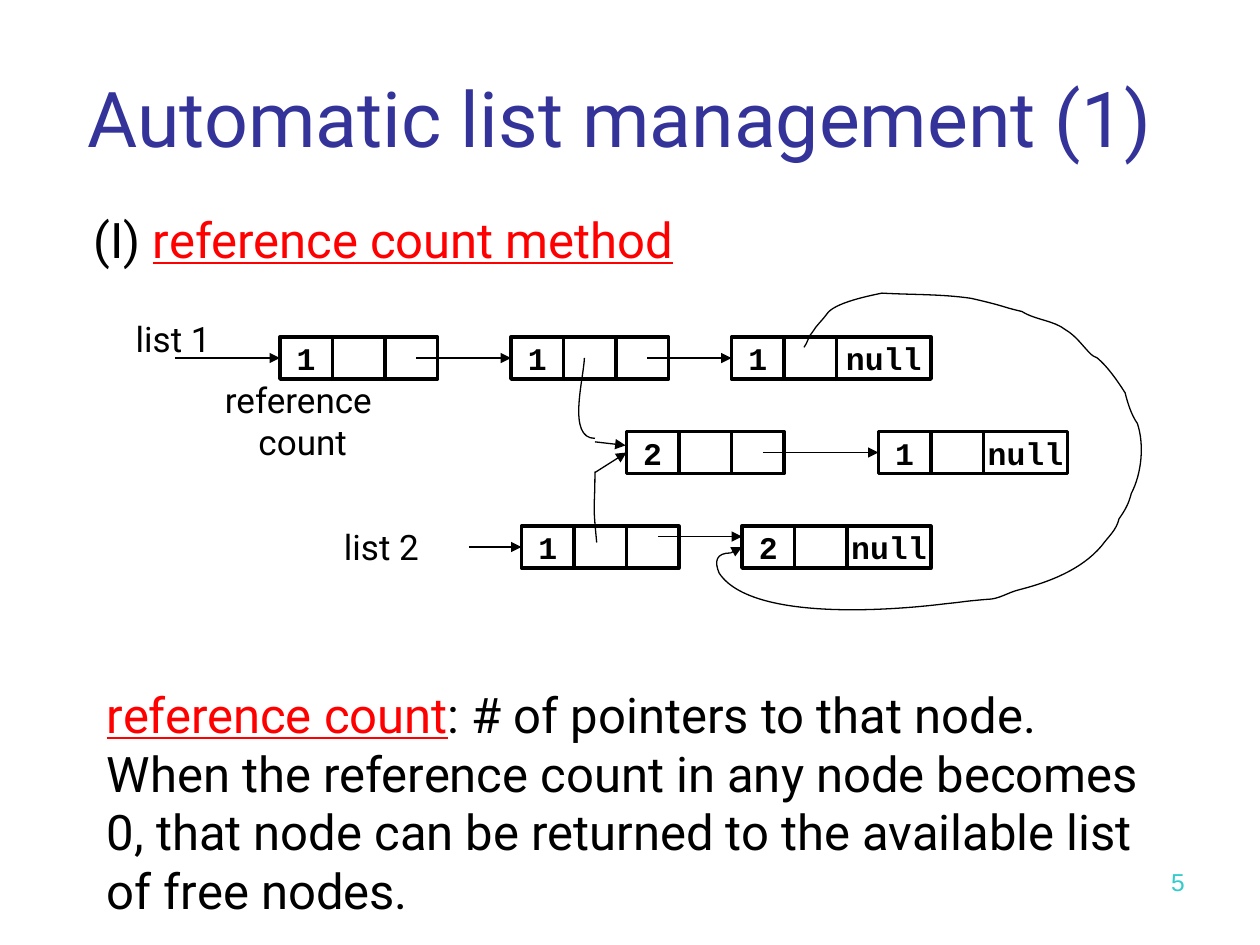
from dataclasses import dataclass
from itertools import accumulate, chain

from lxml.etree import SubElement
from pptx import Presentation
from pptx.dml.color import RGBColor
from pptx.enum.shapes import MSO_CONNECTOR as Link, MSO_SHAPE as Preset
from pptx.enum.text import MSO_ANCHOR as Anchor, PP_ALIGN as Align
from pptx.oxml.ns import qn
from pptx.slide import Slide
from pptx.util import Pt

COLORS = {"ink": "000000", "title": "333399", "accent": "FF0000", "number": "33CCCC"}
CELL, HEIGHT = 30, 24
TOP, MIDDLE, BOTTOM = (192.6 + 54 * row for row in range(3))


def rgb(name):
    return RGBColor.from_string(COLORS[name])


@dataclass
class ListDiagram:
    """Draws text, list nodes and pointers on a slide in one style."""

    slide: Slide
    font: str = "Roboto"
    code_font: str = "Courier New"
    border: float = 2
    stroke: float = 0.75

    def text(self, box, paragraphs, size, color="ink", align=Align.LEFT,
             anchor=Anchor.TOP, wrap=False, font=None):
        frame = self.slide.shapes.add_textbox(*map(Pt, box)).text_frame
        frame.word_wrap, frame.vertical_anchor = wrap, anchor
        for index, runs in enumerate(paragraphs):
            paragraph = frame.add_paragraph() if index else frame.paragraphs[0]
            paragraph.alignment = align
            paragraph.font.size, paragraph.font.name = Pt(size), font or self.font
            paragraph.font.color.rgb = rgb(color)
            for words, marked in runs:
                run = paragraph.add_run()
                run.text = words
                if marked:
                    run.font.underline = True
                    run.font.color.rgb = rgb("accent")

    def node(self, left, top, count, null_width=0):
        widths = [CELL, CELL, null_width or CELL]
        lefts = accumulate(widths[:-1], initial=left)
        labels = (count, "", "null" if null_width else "")
        return [self.cell(x, top, width, label)
                for x, width, label in zip(lefts, widths, labels)][0]

    def cell(self, left, top, width, label):
        cell = self.slide.shapes.add_shape(Preset.RECTANGLE, *map(Pt, (left, top, width, HEIGHT)))
        cell.shadow.inherit = False
        cell.fill.background()
        cell.line.color.rgb, cell.line.width = rgb("ink"), Pt(self.border)
        if label:
            frame = cell.text_frame
            frame.word_wrap, frame.vertical_anchor = False, Anchor.MIDDLE
            paragraph = frame.paragraphs[0]
            paragraph.text, paragraph.alignment = label, Align.CENTER
            font = paragraph.font
            font.name, font.size, font.bold = self.code_font, Pt(18), True
            font.color.rgb = rgb("ink")
        return cell

    def arrow(self, start, end=None, target=None):
        pointer = self.slide.shapes.add_connector(Link.STRAIGHT, *map(Pt, start + (end or start)))
        if target is not None:
            pointer.end_connect(target, 1)
        pointer.line.color.rgb, pointer.line.width = rgb("ink"), Pt(self.stroke)
        SubElement(pointer.line._get_or_add_ln(), qn("a:tailEnd"), type="triangle")
        SubElement(pointer._element.spPr, qn("a:effectLst"))

    def curve(self, start, *segments):
        builder = self.slide.shapes.build_freeform(*map(Pt, start), scale=1.0)
        builder.add_line_segments([tuple(map(Pt, point)) for point in chain(*segments)],
                                  close=False)
        outline = builder.convert_to_shape()
        outline.shadow.inherit = False
        outline.fill.background()
        outline.line.color.rgb, outline.line.width = rgb("ink"), Pt(self.stroke)
        steps = list(outline._element.iter(qn("a:lnTo")))
        for triple in zip(steps[::3], steps[1::3], steps[2::3]):
            bend = SubElement(triple[0].getparent(), qn("a:cubicBezTo"))
            for step in triple:
                bend.append(step[0])
                step.getparent().remove(step)


def main():
    deck = Presentation()
    deck.slide_width, deck.slide_height = Pt(720), Pt(540)
    diagram = ListDiagram(deck.slides.add_slide(deck.slide_layouts[6]))

    diagram.text((36, 21.6, 648, 90), [[("Automatic list management (1) ", False)]], 44,
                 "title", Align.CENTER, Anchor.MIDDLE, wrap=True)
    diagram.text((46.5, 116, 367, 41), [[("(I) ", False), ("reference count method", True)]], 28)
    diagram.text((70.5, 178, 58, 32), [[("list 1", False)]], 20)

    first = diagram.node(160, TOP, "1")
    second = diagram.node(292, TOP, "1")
    third = diagram.node(418, TOP, "1", 54)
    shared = diagram.node(358, MIDDLE, "2")
    shared_tail = diagram.node(502, MIDDLE, "1", 48)
    head = diagram.node(298, BOTTOM, "1")
    last = diagram.node(424, BOTTOM, "2", 48)

    diagram.text((118, 212.5, 110, 55), [[("reference ", False)], [("count", False)]], 20,
                 align=Align.CENTER)
    for x, top, target in [(100, TOP, first), (238, TOP, second), (370, TOP, third),
                           (436, MIDDLE, shared_tail), (268, BOTTOM, head)]:
        diagram.arrow((x, top + HEIGHT / 2), target=target)
    diagram.arrow((376, BOTTOM + 6), (424, BOTTOM + 6))

    diagram.curve((334, 204.5), ((333.5, 217), (324, 250.5), (340, 250.5)))
    diagram.arrow((340, 252.5), (357.5, 254.5))
    diagram.curve((341, 310), ((338.5, 285), (340, 293), (340, 269.5)))
    diagram.arrow((340, 270), target=shared)
    diagram.curve(
        (459.5, 198.5),
        ((461.5, 196), (462, 192), (464.5, 189.5)),
        ((466.5, 186), (470, 183), (472.5, 179.5)),
        ((476.5, 173), (497, 169), (504, 167.5)),
        ((521.5, 168.5), (538, 168), (555, 170.5)),
        ((561.5, 172), (568, 173.5), (574.5, 175.5)),
        ((577.5, 176.5), (584, 178), (584, 178)),
        ((592, 183), (602, 183), (609, 188.5)),
        ((615, 192), (618.5, 197.5), (623.5, 202.5)),
        ((624, 203), (625.5, 204), (627, 204.5)),
        ((633, 209.5), (638.5, 217.5), (643, 224.5)),
        ((644.5, 230.5), (646.5, 237), (650, 242)),
        ((654, 254), (652.5, 270.5), (646.5, 282)),
        ((645, 288), (643, 291.5), (639.5, 296.5)),
        ((638, 303), (633.5, 306.5), (629.5, 312)),
        ((618, 325.5), (600, 332.5), (582.5, 337)),
        ((576, 338.5), (571, 342.5), (564, 342.5)),
        ((547, 344), (555, 343.5), (540.5, 345)),
        ((539.5, 345), (432.5, 360), (411, 327.5)),
        ((408, 320.5), (409.5, 316), (417.5, 316)))
    diagram.arrow((417.5, 316), target=last)

    diagram.text((189.5, 296.5, 58, 32), [[("list 2", False)]], 20)
    diagram.text((54, 387.5, 614, 142), [
        [("reference count", True), (": # of pointers to that node.", False)],
        [("When the reference count in any node becomes 0, that node can be returned "
          "to the available list of free nodes.", False)]], 28, wrap=True)
    diagram.text((516, 492, 168, 37.5), [[("5", False)]], 14, "number", Align.RIGHT,
                 wrap=True, font="Arial")
    deck.save("out.pptx")


if __name__ == "__main__":
    main()
